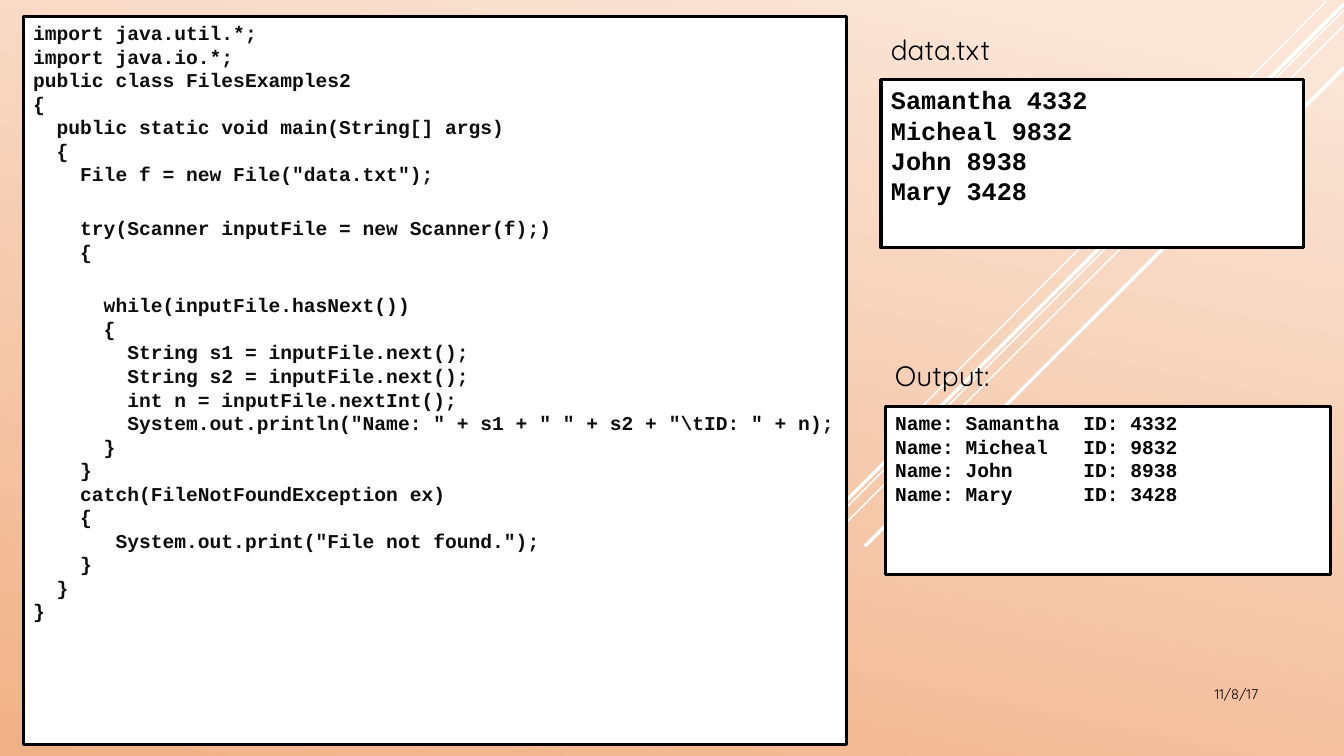
from dataclasses import dataclass

from lxml import etree
from pptx import Presentation
from pptx.dml.color import RGBColor
from pptx.enum.shapes import MSO_CONNECTOR, MSO_SHAPE
from pptx.enum.text import MSO_ANCHOR, PP_ALIGN
from pptx.oxml.ns import qn
from pptx.slide import Slide
from pptx.util import Pt

RECT = MSO_SHAPE.RECTANGLE
STRAIGHT = MSO_CONNECTOR.STRAIGHT
TOP = MSO_ANCHOR.TOP
LEFT, RIGHT = PP_ALIGN.LEFT, PP_ALIGN.RIGHT

HEX = {"light": "FAE5D7", "deep": "F1B187", "white": "FFFFFF",
       "black": "000000", "ink": "0D0D0D"}
MONO = {"name": "Courier New", "bold": True}
SANS = {"name": "Quicksand", "bold": False}
LABEL_RISE = 37.5

CODE = r'''import java.util.*;
import java.io.*;
public class FilesExamples2
{
  public static void main(String[] args)
  {
    File f = new File("data.txt");

    try(Scanner inputFile = new Scanner(f);)
    {

      while(inputFile.hasNext())
      {
        String s1 = inputFile.next();
        String s2 = inputFile.next();
        int n = inputFile.nextInt();
        System.out.println("Name: " + s1 + " " + s2 + "\tID: " + n);
      }
    }
    catch(FileNotFoundException ex)
    {
       System.out.print("File not found.");
    }
  }
}'''
PEOPLE = [("Samantha", 4332), ("Micheal", 9832), ("John", 8938), ("Mary", 3428)]
DATA = "\n".join(f"{name} {num}" for name, num in PEOPLE)
OUTPUT = "\n".join(f"Name: {name:<8}  ID: {num}" for name, num in PEOPLE)


@dataclass
class Ray:
    x1: float
    y1: float
    x2: float
    y2: float
    width: float


@dataclass
class Panel:
    x: float
    y: float
    w: float
    h: float
    text: str
    size: float
    ink: str = "black"
    label: str = ""


RAYS = [
    Ray(947.5, 0.7, 648, 301, 1),
    Ray(960, 7.2, 481, 486, 1),
    Ray(960, 18, 569.5, 408.2, 1),
    Ray(960, 2.9, 577.4, 384.5, 2.5),
    Ray(960, 48.2, 617.8, 390.2, 2.5),
]
PANELS = [
    Panel(16.6, 11.5, 588.2, 520.6, CODE, 14, "ink"),
    Panel(629.3, 56.9, 301.7, 120.2, DATA, 18, label="data.txt"),
    Panel(632.2, 290.2, 318.2, 120.2, OUTPUT, 14, label="Output:"),
]


def shade(name: str) -> RGBColor:
    return RGBColor.from_string(HEX[name])


def paint_back(slide: Slide) -> None:
    fill = slide.background.fill
    fill.gradient()
    fill.gradient_angle = 360 - 102
    for stop, (name, place) in zip(fill.gradient_stops, [("light", 0.07), ("deep", 1)]):
        stop.color.rgb = shade(name)
        stop.position = place


def draw_ray(slide: Slide, ray: Ray) -> None:
    ends = map(Pt, (ray.x1, ray.y1, ray.x2, ray.y2))
    line = slide.shapes.add_connector(STRAIGHT, *ends)
    line.line.color.rgb = shade("white")
    line.line.width = Pt(ray.width)
    etree.SubElement(line._element.spPr, qn("a:effectLst"))


def write(shape, text: str, style: dict, ink: str = "black", align=LEFT) -> None:
    """Fill a shape with one paragraph, each newline a line break."""
    frame = shape.text_frame
    frame.word_wrap = True
    frame.vertical_anchor = TOP
    para = frame.paragraphs[0]
    para.text = text
    para.alignment = align
    for run in para.runs:
        for key, value in style.items():
            setattr(run.font, key, value)
        run.font.color.rgb = shade(ink)


def draw_panel(slide: Slide, panel: Panel) -> None:
    box = slide.shapes.add_shape(RECT, *map(Pt, (panel.x, panel.y, panel.w, panel.h)))
    box.shadow.inherit = False
    box.fill.solid()
    box.fill.fore_color.rgb = shade("white")
    box.line.color.rgb = shade("black")
    box.line.width = Pt(2.25)
    write(box, panel.text, MONO | {"size": Pt(panel.size)}, panel.ink)
    if panel.label:
        spot = map(Pt, (panel.x, panel.y - LABEL_RISE, 198.7, 31.7))
        label = slide.shapes.add_textbox(*spot)
        write(label, panel.label, SANS | {"size": Pt(20)})


def main() -> None:
    deck = Presentation()
    deck.slide_width, deck.slide_height = Pt(960), Pt(540)
    slide = deck.slides.add_slide(deck.slide_layouts[6])
    paint_back(slide)
    for ray in RAYS:
        draw_ray(slide, ray)
    date = slide.shapes.add_textbox(*map(Pt, (779.8, 486, 126, 28.8)))
    write(date, "11/8/17", SANS | {"size": Pt(10)}, align=RIGHT)
    for panel in PANELS:
        draw_panel(slide, panel)
    deck.save("out.pptx")


if __name__ == "__main__":
    main()
